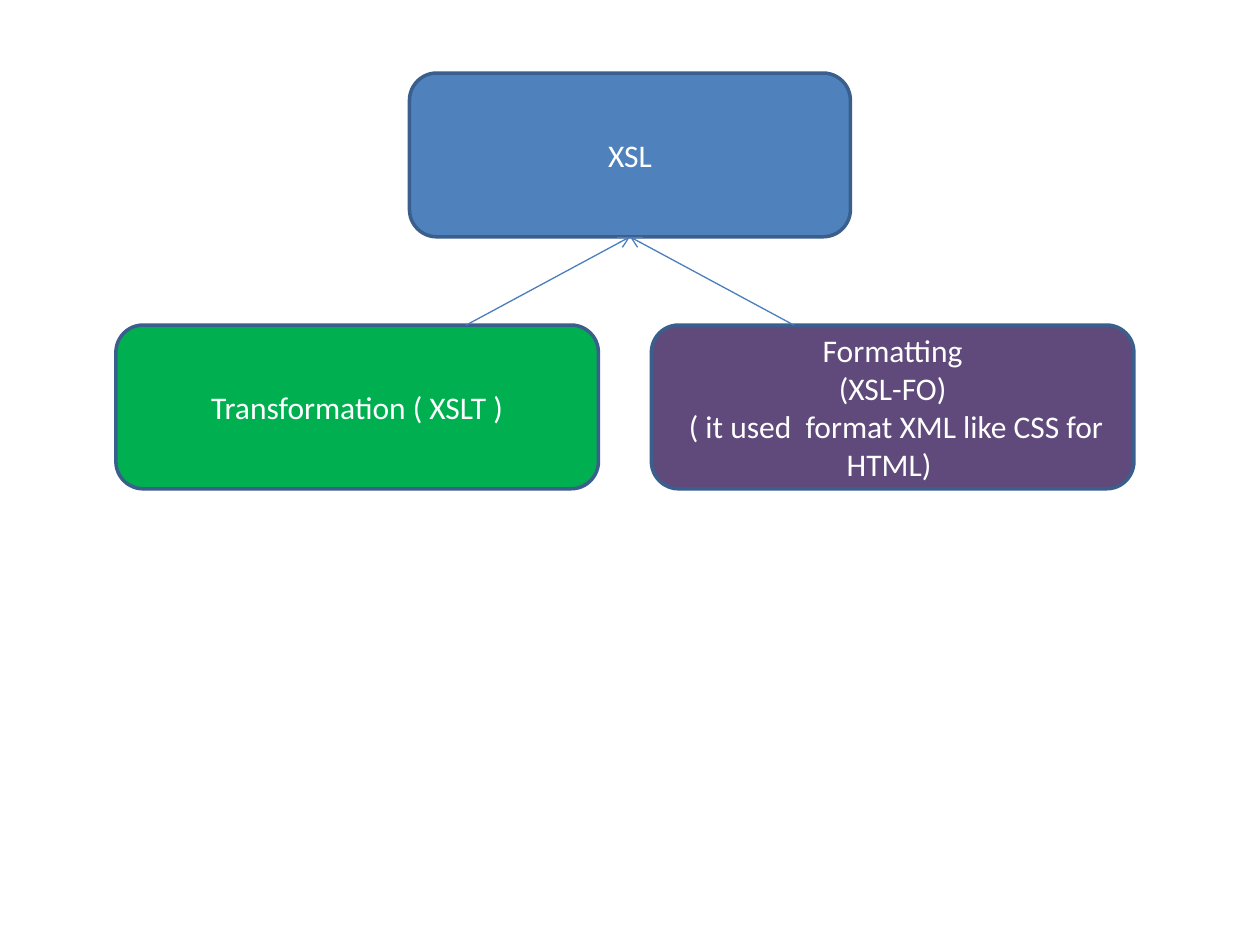
from pptx import Presentation
from pptx.dml.color import RGBColor
from pptx.enum.shapes import MSO_CONNECTOR, MSO_SHAPE
from pptx.enum.text import MSO_ANCHOR, PP_ALIGN
from pptx.oxml.ns import qn
from pptx.util import Inches, Pt
from lxml.etree import SubElement


def color(code):
    return RGBColor.from_string(code)


def write(frame, text, size=18, font="Calibri", ink="FFFFFF"):
    frame.word_wrap = True
    frame.vertical_anchor = MSO_ANCHOR.MIDDLE
    frame.text = text
    for para in frame.paragraphs:
        para.alignment = PP_ALIGN.CENTER
        para.font.size = Pt(size)
        para.font.name = font
        para.font.color.rgb = color(ink)


def add_node(slide, text, fill, left, top, width, height):
    node = slide.shapes.add_shape(
        MSO_SHAPE.ROUNDED_RECTANGLE,
        Inches(left), Inches(top), Inches(width), Inches(height))
    node.shadow.inherit = False
    node.fill.solid()
    node.fill.fore_color.rgb = color(fill)
    node.line.color.rgb = color("3A5F8C")
    node.line.width = Pt(2)
    write(node.text_frame, text)


def add_arrow(slide, x1, y1, x2, y2):
    arrow = slide.shapes.add_connector(
        MSO_CONNECTOR.STRAIGHT,
        Inches(x1), Inches(y1), Inches(x2), Inches(y2))
    arrow.line.color.rgb = color("4B7EBC")
    arrow.line.width = Pt(0.75)
    props = arrow.line._get_or_add_ln()
    SubElement(props, qn("a:tailEnd"), type="arrow")
    SubElement(arrow._element.spPr, qn("a:effectLst"))


def add_tree(slide, left, top, width):
    high, gap, root = 1.3, 0.7, 3.5
    child = 3.83
    mid = 5 - 0.92 + left
    low = top + high + gap

    # Root
    add_node(slide, "XSL", "4F81BD", mid - root / 2, top, root, high)

    # Children
    add_node(slide, "Transformation ( XSLT )", "00B050",
             left, low, child, high)
    add_node(slide,
             "Formatting\n(XSL-FO)\n"
             " ( it used  format XML like CSS for HTML) ",
             "604A7B", left + width - child, low, child, high)

    # Arrows up to the root
    for side in (-1, 1):
        add_arrow(slide, mid + side * 1.3, low, mid, top + high)


def main():
    deck = Presentation()
    deck.slide_width, deck.slide_height = Inches(10), Inches(7.5)
    slide = deck.slides.add_slide(deck.slide_layouts[6])
    add_tree(slide, left=0.92, top=0.58, width=8.08)
    deck.save("out.pptx")


if __name__ == "__main__":
    main()
